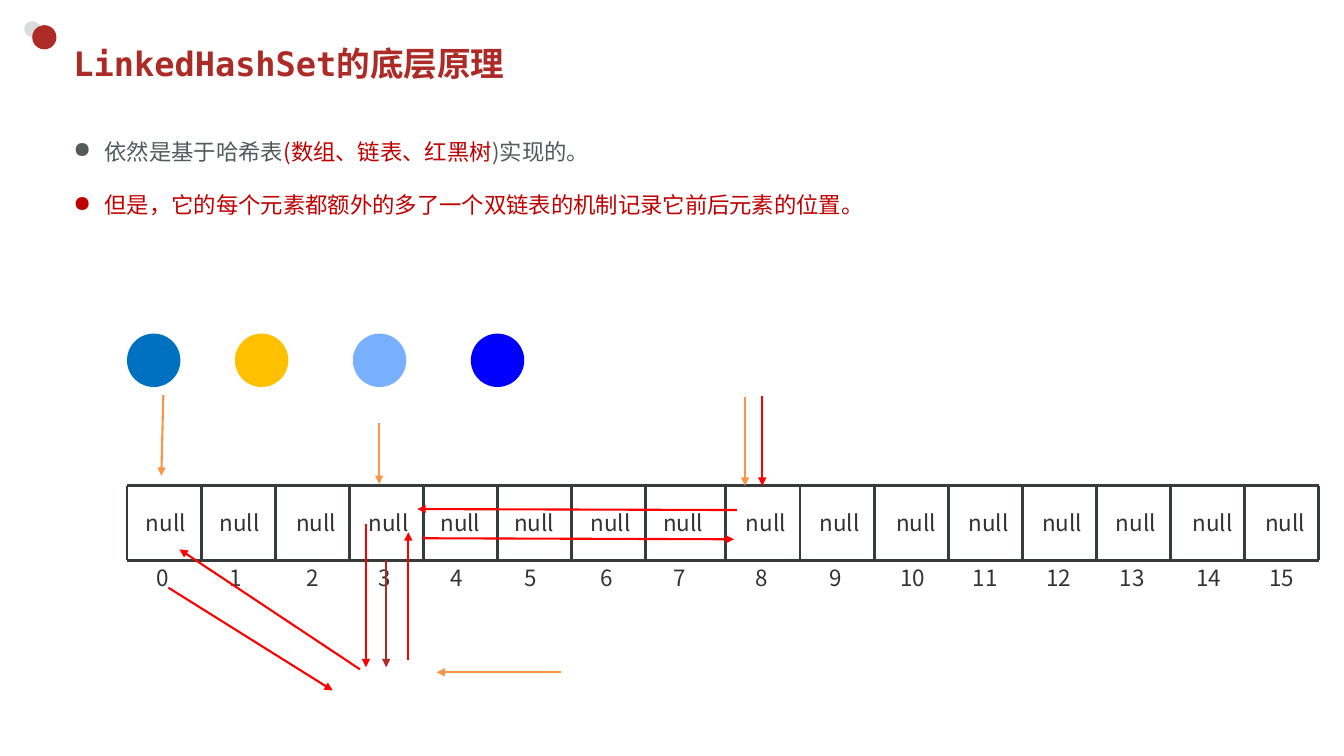
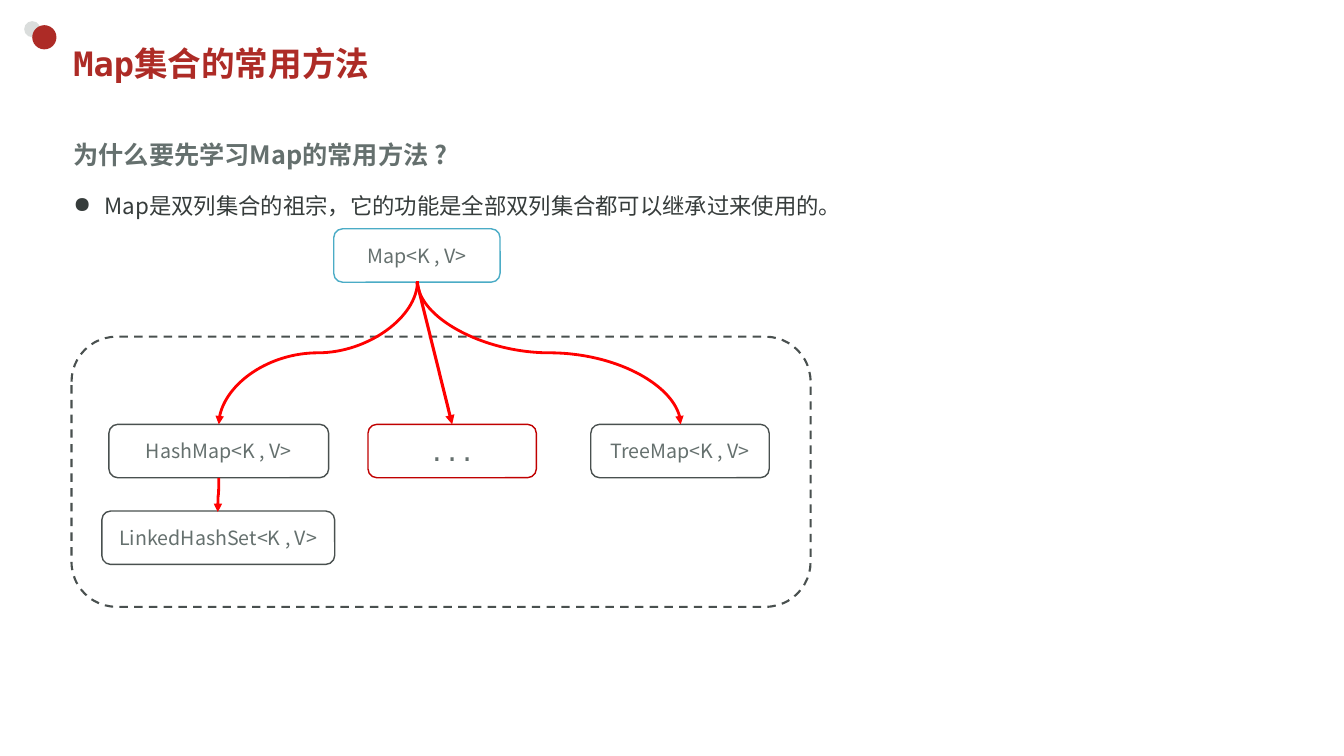
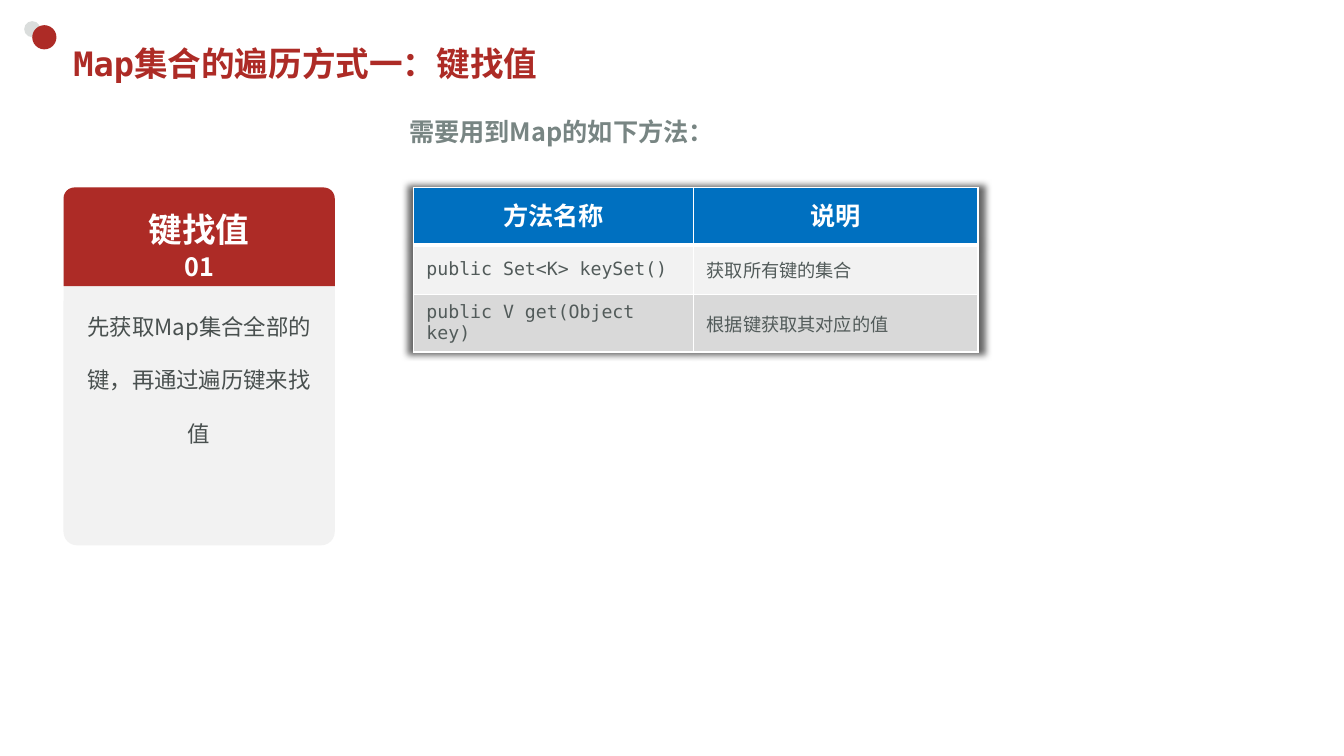
from itertools import product
from lxml.etree import SubElement
from pptx import Presentation
from pptx.dml.color import RGBColor
from pptx.enum.dml import MSO_LINE
from pptx.enum.shapes import MSO_CONNECTOR, MSO_SHAPE
from pptx.enum.text import MSO_ANCHOR, PP_ALIGN
from pptx.oxml import parse_xml
from pptx.oxml.ns import nsdecls, qn
from pptx.util import Inches, Pt

COLORS = {
    "brand": "AD2B26", "pale": "DADDDC", "red": "FF0000", "deep": "C00000",
    "orange": "F79646", "ink": "363C3B", "text": "333333", "body": "525B5A",
    "slate": "65706E", "mist": "788583", "edge": "49504F", "teal": "4BACC6",
    "blue": "0070C0", "gold": "FFC000", "sky": "79AFFF", "navy": "0000FF",
    "white": "FFFFFF", "light": "F2F2F2", "grey": "D9D9D9",
}
MONO, JP, SC = "DejaVu Sans Mono", "Noto Sans CJK JP", "Noto Sans CJK SC"
LEFT, MID = PP_ALIGN.LEFT, PP_ALIGN.CENTER
ROUND = MSO_SHAPE.ROUNDED_RECTANGLE


def color(name):
    return RGBColor.from_string(COLORS[name])


def write(para, runs, size, font=JP, bold=False, align=LEFT, space=None, bullet=None):
    """Fill a paragraph with (text, colour) runs."""
    if bullet:
        props = para._p.get_or_add_pPr()
        props.set("marL", str(Inches(0.31)))
        props.set("indent", str(-Inches(0.31)))
        tint = SubElement(props, qn("a:buClr"))
        SubElement(tint, qn("a:srgbClr")).set("val", COLORS[bullet])
        SubElement(props, qn("a:buChar")).set("char", "●")
    para.alignment = align
    if space:
        para.line_spacing = space
    for text, tone in runs:
        run = para.add_run()
        run.text = text
        run.font.size, run.font.bold, run.font.name = Pt(size), bold, font
        run.font.color.rgb = color(tone)
        east = SubElement(run._r.get_or_add_rPr(), qn("a:ea"))
        east.set("typeface", SC if font == MONO else font)


def label(slide, box, runs, size, wrap=True, anchor=MSO_ANCHOR.TOP, inset=None, **style):
    frame = slide.shapes.add_textbox(*map(Inches, box)).text_frame
    frame.word_wrap, frame.vertical_anchor = wrap, anchor
    if inset is not None:
        frame.margin_left = frame.margin_right = Inches(inset)
        frame.margin_top = frame.margin_bottom = Inches(inset)
    write(frame.paragraphs[0], runs, size, **style)
    return frame


def shape(slide, kind, box, fill=None, line=None, width=1):
    item = slide.shapes.add_shape(kind, *map(Inches, box))
    item.shadow.inherit = False
    if fill:
        item.fill.solid()
        item.fill.fore_color.rgb = color(fill)
    else:
        item.fill.background()
    if line:
        item.line.color.rgb = color(line)
        item.line.width = Pt(width)
    else:
        item.line.fill.background()
    return item


def fill_text(item, runs, size, anchor=MSO_ANCHOR.MIDDLE, **style):
    frame = item.text_frame
    frame.word_wrap, frame.vertical_anchor = True, anchor
    write(frame.paragraphs[0], runs, size, align=MID, **style)


def link(slide, start, end, tone, width=1.5, head=True, kind=MSO_CONNECTOR.STRAIGHT):
    item = slide.shapes.add_connector(kind, *map(Inches, start + end))
    item.line.color.rgb = color(tone)
    item.line.width = Pt(width)
    if head:
        SubElement(item.line._get_or_add_ln(), qn("a:tailEnd")).set("type", "triangle")
    SubElement(item._element.spPr, qn("a:effectLst"))
    return item


def curve(slide, start, end):
    """Draw a curved arrow that leaves and arrives going down."""
    (x1, y1), (x2, y2) = start, end
    wide, high = y2 - y1, abs(x2 - x1)
    left, top = (x1 + x2 - wide) / 2, (y1 + y2 - high) / 2
    item = link(slide, (left, top), (left + wide, top + high), "red", 2,
                kind=MSO_CONNECTOR.CURVE)
    frame = item._element.spPr.find(qn("a:xfrm"))
    frame.set("rot", str((90 if x2 < x1 else 270) * 60000))
    if x2 > x1:
        frame.set("flipH", "1")


def base(deck, title):
    """Add a slide with the corner dots and the title."""
    slide = deck.slides.add_slide(deck.slide_layouts[6])
    shape(slide, MSO_SHAPE.OVAL, (0.24, 0.21, 0.16, 0.16), "pale")
    shape(slide, MSO_SHAPE.OVAL, (0.32, 0.25, 0.24, 0.24), "brand")
    label(slide, (0.63, 0.37, 11.75, 0.52), [(title, "brand")], 24,
          anchor=MSO_ANCHOR.MIDDLE, font=MONO, bold=True)
    return slide


def array(slide):
    """Draw the sixteen slots with their values and indexes."""
    top, low, left, step = 4.82, 5.56, 1.26, 0.735
    edges = [left + step * i + (0.06 if i > 7 else 0) for i in range(17)]
    for y in (top, low):
        link(slide, (left, y), (edges[-1], y), "ink", 2, False)
    for x in edges:
        link(slide, (x, top), (x, low), "ink", 2, False)
    starts, gaps = (1.35, 4.27, 7.3, 10.24), (0, 0.73, 1.49, 2.21)
    for index, (start, gap) in enumerate(product(starts, gaps)):
        x = start + gap
        label(slide, (x, 5, 0.6, 0.37), [("null", "text")], 16, False, font=SC)
        label(slide, (x + 0.03, 5.55, 0.46, 0.37), [(str(index), "text")], 16,
              False, font=SC, align=MID)


def hash_set(deck):
    slide = base(deck, "LinkedHashSet的底层原理")
    frame = label(slide, (0.63, 1.05, 9.08, 1.65), [
        ("依然是基于哈希表", "body"), ("(数组、链表、红黑树", "deep"),
        (")实现的。", "body")], 16, space=2.0, bullet="body")
    write(frame.add_paragraph(),
          [("但是，它的每个元素都额外的多了一个双链表的机制记录它前后元素的位置。", "deep")],
          16, space=2.0, bullet="deep")
    array(slide)
    for x, tone in ((1.26, "blue"), (2.33, "gold"), (3.5, "sky"), (4.67, "navy")):
        shape(slide, MSO_SHAPE.OVAL, (x, 3.31, 0.53, 0.53), tone)
    arrows = {
        "brand": [((3.83, 5.56), (3.83, 6.62))],
        "red": [
            ((7.31, 5.06), (4.14, 5.05)), ((4.19, 5.34), (7.28, 5.35)),
            ((7.56, 3.93), (7.56, 4.82)), ((3.63, 5.2), (3.63, 6.62)),
            ((3.57, 6.64), (1.78, 5.45)), ((4.05, 6.55), (4.05, 5.28)),
            ((1.67, 5.83), (3.3, 6.85))],
        "orange": [
            ((7.39, 3.94), (7.39, 4.82)), ((3.76, 4.2), (3.76, 4.8)),
            ((5.56, 6.67), (4.33, 6.67)), ((1.62, 3.92), (1.6, 4.72))],
    }
    for tone, pairs in arrows.items():
        for start, end in pairs:
            link(slide, start, end, tone)


def node(slide, x, y, width, text, line="edge", size=14, font=JP):
    item = shape(slide, ROUND, (x, y, width, 0.53), "white", line)
    fill_text(item, [(text, "slate")], size, font=font)
    return item


def map_tree(deck):
    slide = base(deck, "Map集合的常用方法")
    label(slide, (0.63, 1.03, 4.23, 0.63), [("为什么要先学习Map的常用方法 ?", "slate")],
          18, bold=True, space=2.0)
    label(slide, (0.63, 1.86, 10.28, 0.37),
          [("Map是双列集合的祖宗，它的功能是全部双列集合都可以继承过来使用的。", "ink")],
          16, bullet="ink")
    area = shape(slide, ROUND, (0.71, 3.34, 7.33, 2.68), line="edge", width=1.5)
    area.line.dash_style = MSO_LINE.DASH
    row = 4.21
    node(slide, 1.08, row, 2.18, "HashMap<K , V>")
    node(slide, 5.86, row, 1.77, "TreeMap<K , V>")
    node(slide, 1.01, 5.07, 2.31, "LinkedHashSet<K , V>")
    root = node(slide, 3.31, 2.27, 1.65, "Map<K , V>", "teal")
    more = node(slide, 3.65, row, 1.67, "...", "deep", 18, MONO)
    foot = (4.14, 2.79)
    curve(slide, foot, (2.17, row))
    curve(slide, foot, (6.75, row))
    curve(slide, (2.17, 4.74), (2.16, 5.08))
    arm = link(slide, foot, (4.49, row), "red", 2.2)
    arm.begin_connect(root, 2)
    arm.end_connect(more, 0)


def border(cell, top, bottom):
    """Give a cell white borders, with the widths in points."""
    props = cell._tc.get_or_add_tcPr()
    sides = (("L", 1), ("R", 1), ("T", top), ("B", bottom))
    for place, (side, width) in enumerate(sides):
        props.insert(place, parse_xml(
            f'<a:ln{side} {nsdecls("a")} w="{Pt(width)}"><a:solidFill>'
            f'<a:srgbClr val="{COLORS["white"]}"/></a:solidFill></a:ln{side}>'))


def methods(slide):
    rows = [("方法名称", "说明"),
            ("public Set<K> keySet()", "获取所有键的集合"),
            ("public V get(Object key)", "根据键获取其对应的值")]
    box = map(Inches, (4.1, 1.86, 5.6, 1.55))
    table = slide.shapes.add_table(len(rows), 2, *box).table
    table.horz_banding = False
    table._tbl.tblPr.insert(0, parse_xml(
        f'<a:effectLst {nsdecls("a")}><a:outerShdw blurRad="63500" sx="102000" '
        'sy="102000" algn="ctr" rotWithShape="0"><a:srgbClr val="000000">'
        '<a:alpha val="60000"/></a:srgbClr></a:outerShdw></a:effectLst>'))
    for column, width in zip(table.columns, (2.78, 2.82)):
        column.width = Inches(width)
    fills, heights = ("blue", "light", "grey"), (0.57, 0.49, 0.49)
    for r, texts in enumerate(rows):
        table.rows[r].height = Inches(heights[r])
        for c, text in enumerate(texts):
            cell = table.cell(r, c)
            cell.fill.solid()
            cell.fill.fore_color.rgb = color(fills[r])
            cell.vertical_anchor = MSO_ANCHOR.MIDDLE
            cell.margin_left = cell.margin_right = Inches(0.13 if r else 0.1)
            cell.margin_top = cell.margin_bottom = Inches(0.07 if r else 0.05)
            border(cell, 3 if r == 1 else 1, 1 if r else 3)
            para = cell.text_frame.paragraphs[0]
            if r:
                write(para, [(text, "body")], 13, MONO)
            else:
                write(para, [(text, "white")], 18, bold=True, align=MID, space=Pt(24))


def key_walk(deck):
    slide = base(deck, "Map集合的遍历方式一：键找值")
    methods(slide)
    card = shape(slide, ROUND, (0.63, 1.86, 2.69, 3.55), "light")
    card.adjustments[0] = 0.05
    fill_text(card, [("先获取Map集合全部的键，再通过遍历键来找值", "edge")], 16, space=2.0)
    head = shape(slide, MSO_SHAPE.ROUND_2_SAME_RECTANGLE, (0.63, 1.86, 2.69, 0.98), "brand")
    head.adjustments[0] = 0.11
    fill_text(head, [("01", "white")], 18, MSO_ANCHOR.BOTTOM, bold=True, space=1.2)
    label(slide, (1.04, 2, 1.87, 0.46), [("键找值", "white")], 24,
          anchor=MSO_ANCHOR.MIDDLE, inset=0, bold=True, align=MID, space=1.2)
    label(slide, (3.96, 1.11, 6.7, 0.4), [("需要用到Map的如下方法：", "mist")], 18, bold=True)


def main():
    deck = Presentation()
    deck.slide_width, deck.slide_height = Inches(13.33), Inches(7.5)
    hash_set(deck)
    map_tree(deck)
    key_walk(deck)
    deck.save("out.pptx")


if __name__ == "__main__":
    main()
